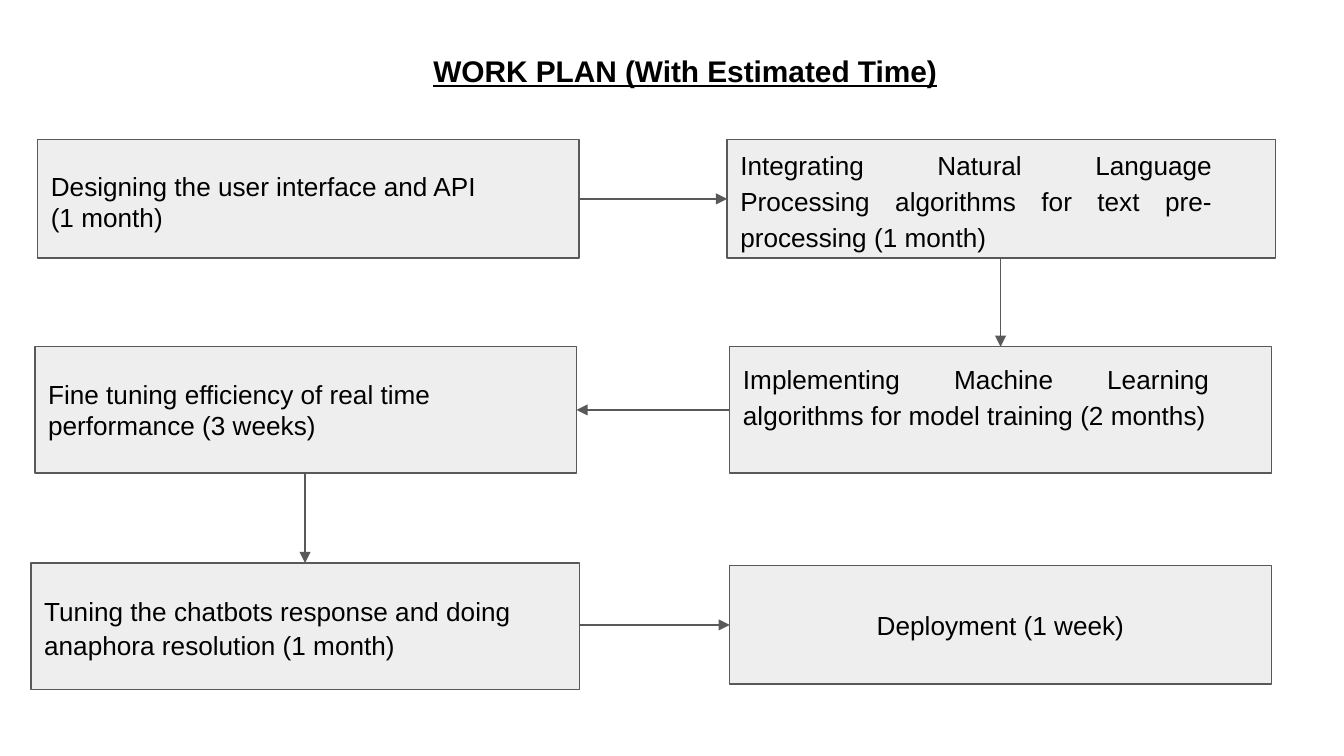
from dataclasses import dataclass

from lxml import etree
from pptx import Presentation, util as u
from pptx.dml.color import RGBColor
from pptx.enum import shapes, text
from pptx.oxml import ns

LEFT, CENTER, JUSTIFY = text.PP_ALIGN.LEFT, text.PP_ALIGN.CENTER, text.PP_ALIGN.JUSTIFY
TOP_SITE, LEFT_SITE, BOTTOM_SITE, RIGHT_SITE = range(4)


@dataclass(frozen=True)
class Theme:
    font: str = "Arial"
    ink: RGBColor = RGBColor(0, 0, 0)
    fill: RGBColor = RGBColor(0xEE, 0xEE, 0xEE)
    line: RGBColor = RGBColor(0x59, 0x59, 0x59)
    line_width: float = 0.75
    title_size: int = 16
    body_size: int = 14
    inset: float = 0.1


class WorkPlan:
    def __init__(self, slide, theme):
        self.slide = slide
        self.theme = theme

    def style_runs(self, para, size, bold=False, underline=False):
        for span in para.runs:
            span.font.name = self.theme.font
            span.font.size = u.Pt(size)
            span.font.color.rgb = self.theme.ink
            span.font.bold = bold
            span.font.underline = underline

    def set_insets(self, frame, right=0, bottom=0):
        """Apply the theme inset, plus any extra room at the right or bottom."""
        inset = self.theme.inset
        frame.margin_left = frame.margin_top = u.Inches(inset)
        frame.margin_right = u.Inches(inset + right)
        frame.margin_bottom = u.Inches(inset + bottom)
        frame.word_wrap = True

    def title(self, wording, left, top, width, height):
        title = self.slide.shapes.title
        title.left, title.top = u.Inches(left), u.Inches(top)
        title.width, title.height = u.Inches(width), u.Inches(height)
        frame = title.text_frame
        frame.text = wording
        frame.vertical_anchor = text.MSO_ANCHOR.TOP
        frame.auto_size = text.MSO_AUTO_SIZE.NONE
        self.set_insets(frame)
        para = frame.paragraphs[0]
        para.alignment = CENTER
        self.style_runs(para, self.theme.title_size, bold=True, underline=True)

    def step(self, wording, left, top, width, height, align=LEFT,
             spacing=1.0, before=0, right=0, bottom=0):
        """Add a box; line spacing and space before go to its first paragraph."""
        box = self.slide.shapes.add_shape(
            shapes.MSO_SHAPE.RECTANGLE,
            u.Inches(left), u.Inches(top), u.Inches(width), u.Inches(height))
        box.shadow.inherit = False
        box.fill.solid()
        box.fill.fore_color.rgb = self.theme.fill
        box.line.color.rgb = self.theme.line
        box.line.width = u.Pt(self.theme.line_width)
        frame = box.text_frame
        frame.text = wording
        frame.vertical_anchor = text.MSO_ANCHOR.MIDDLE
        self.set_insets(frame, right, bottom)
        for para in frame.paragraphs:
            para.alignment = align
            self.style_runs(para, self.theme.body_size)
        frame.paragraphs[0].line_spacing = spacing
        frame.paragraphs[0].space_before = u.Pt(before)
        return box

    def arrow(self, start, start_site, end, end_site):
        """Join two boxes with an arrow that is exactly level or upright."""
        arrow = self.slide.shapes.add_connector(
            shapes.MSO_CONNECTOR.STRAIGHT, 0, 0, 0, 0)
        arrow.begin_connect(start, start_site)
        arrow.end_connect(end, end_site)
        if start_site in (LEFT_SITE, RIGHT_SITE):
            arrow.height = 0
        else:
            arrow.width = 0
        arrow.line.color.rgb = self.theme.line
        arrow.line.width = u.Pt(self.theme.line_width)
        line = arrow._element.spPr.find(ns.qn("a:ln"))
        etree.SubElement(line, ns.qn("a:tailEnd"), type="triangle")
        etree.SubElement(arrow._element.spPr, ns.qn("a:effectLst"))


def main():
    deck = Presentation()
    deck.slide_width = u.Inches(10)
    deck.slide_height = deck.slide_width * 9 // 16
    page = deck.slides.add_slide(deck.slide_layouts[5])
    plan = WorkPlan(page, Theme())

    plan.title("WORK PLAN (With Estimated Time)", 1.1, 0.29, 8, 0.47)

    design = plan.step("Designing the user interface and API\n(1 month)",
                       0.28, 1.04, 4.03, 0.88, spacing=1.15, before=2.5)
    integrate = plan.step(
        "Integrating Natural Language Processing algorithms for text "
        "pre-processing (1 month)",
        5.41, 1.04, 4.08, 0.88, JUSTIFY, spacing=1.15, before=2.5, right=0.37)
    implement = plan.step(
        "Implementing Machine Learning algorithms for model training (2 months)",
        5.43, 2.58, 4.03, 0.94, JUSTIFY, spacing=1.15, right=0.36, bottom=0.22)
    fine_tune = plan.step(
        "Fine tuning efficiency of real time performance (3 weeks)",
        0.26, 2.58, 4.03, 0.94)
    respond = plan.step(
        "Tuning the chatbots response and doing anaphora resolution (1 month)",
        0.23, 4.19, 4.08, 0.94, spacing=1.1)
    deploy = plan.step("Deployment (1 week)", 5.43, 4.21, 4.03, 0.88, CENTER)

    plan.arrow(design, RIGHT_SITE, integrate, LEFT_SITE)
    plan.arrow(integrate, BOTTOM_SITE, implement, TOP_SITE)
    plan.arrow(implement, LEFT_SITE, fine_tune, RIGHT_SITE)
    plan.arrow(fine_tune, BOTTOM_SITE, respond, TOP_SITE)
    plan.arrow(respond, RIGHT_SITE, deploy, LEFT_SITE)

    deck.save("out.pptx")


if __name__ == "__main__":
    main()
